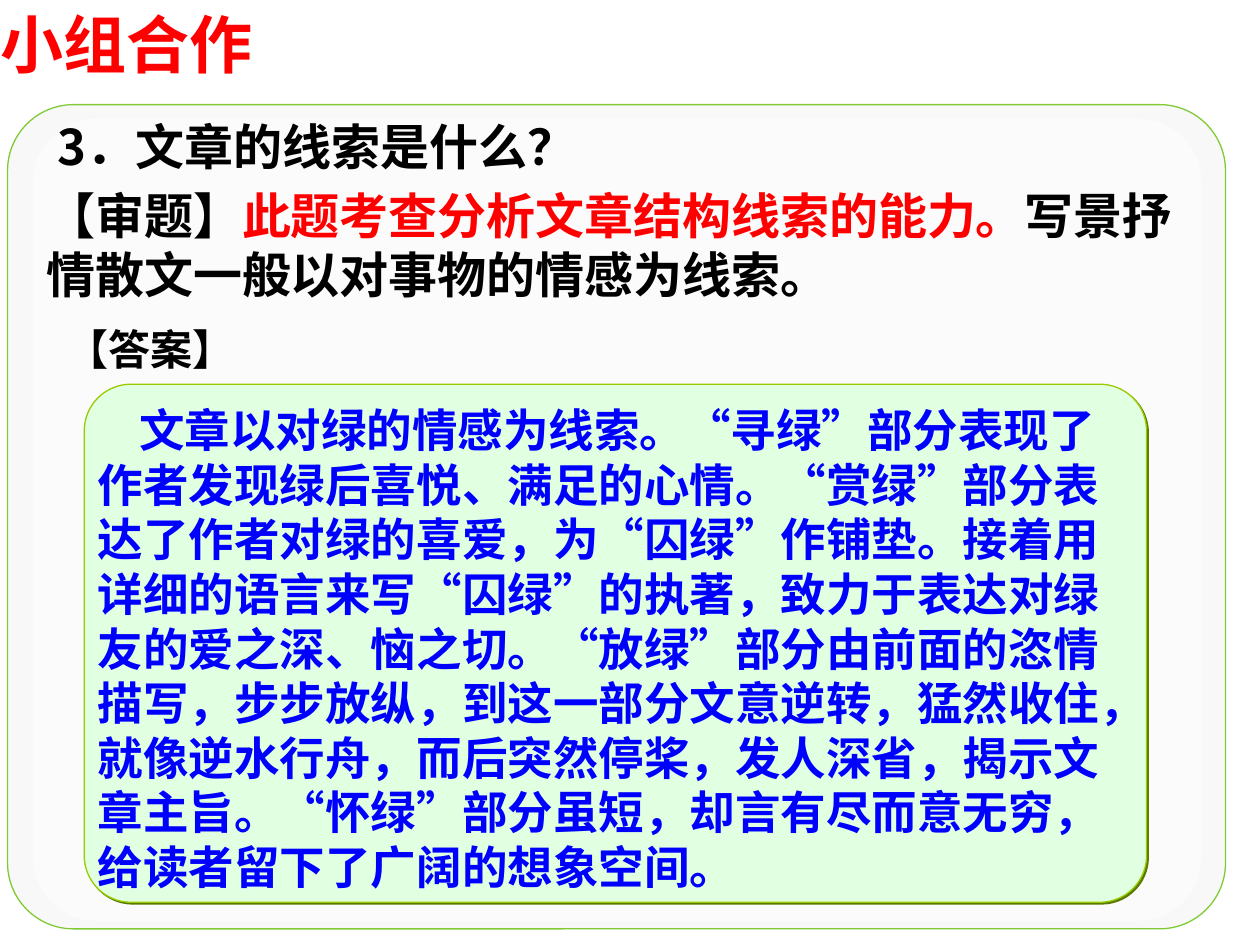
from dataclasses import dataclass

import lxml.etree
import pptx
import pptx.dml.color
import pptx.enum.shapes
import pptx.enum.text
import pptx.oxml
import pptx.oxml.ns
import pptx.util

Pt = pptx.util.Pt
RGBColor = pptx.dml.color.RGBColor
qn = pptx.oxml.ns.qn

BLACK = RGBColor(0x00, 0x00, 0x00)
RED = RGBColor(0xFF, 0x00, 0x00)
BLUE = RGBColor(0x00, 0x00, 0xFF)
WHITE = RGBColor(0xFF, 0xFF, 0xFF)
PANEL_GRAY = RGBColor(0xF8, 0xF8, 0xF8)
PANEL_LINE = RGBColor(0x80, 0xCB, 0x35)
ANSWER_FILL = RGBColor(0xE1, 0xFF, 0xE1)
ANSWER_LINE = RGBColor(0x99, 0xCC, 0x00)
ANSWER_SHADOW = RGBColor(0x5B, 0x79, 0x00)
TEXT_SHADOW = RGBColor(0x80, 0x80, 0x80)

CJK_FONT = "Noto Sans CJK SC"
LEADING = 1.2
ASCENT_GAP = 0.09  # extra top inset, as a share of the text size


@dataclass
class Box:
    left: float
    top: float
    width: float
    height: float

    def lengths(self) -> list:
        return [Pt(value) for value in (self.left, self.top, self.width, self.height)]


@dataclass
class Passage:
    runs: list[tuple[str, RGBColor]]
    size: float
    latin_font: str = "Arial"
    inset_x: float = 7.2
    inset_y: float = 3.6
    wrap: bool = True
    shadow: bool = True
    indent: float = 0


TITLE_BOX = Box(0, 0, 241, 43.2)
TITLE = Passage([("小组合作", RED)], 36, inset_x=0, inset_y=0)

PASSAGES = [
    (Box(26, 60.5, 322.5, 41),
     Passage([("3．文章的线索是什么？", BLACK)], 28, CJK_FONT, wrap=False)),
    (Box(19.4, 100, 669, 75),
     Passage([("【审题】", BLACK),
              ("此题考查分析文章结构线索的能力。", RED),
              ("写景抒情散文一般以对事物的情感为线索。", BLACK)], 28)),
    (Box(31, 179.3, 119, 36), Passage([("【答案】", BLACK)], 24)),
]

ANSWER_BOX = Box(48.2, 219.6, 607, 296)
ANSWER = Passage([(
    "文章以对绿的情感为线索。“寻绿”部分表现了作者发现绿后喜悦、满足的心情。"
    "“赏绿”部分表达了作者对绿的喜爱，为“囚绿”作铺垫。接着用详细的语言来写“囚绿”的执著，"
    "致力于表达对绿友的爱之深、恼之切。“放绿”部分由前面的恣情描写，步步放纵，"
    "到这一部分文意逆转，猛然收住，就像逆水行舟，而后突然停桨，发人深省，揭示文章主旨。"
    "“怀绿”部分虽短，却言有尽而意无穷，给读者留下了广阔的想象空间。", BLUE)],
    26, CJK_FONT, inset_x=0, inset_y=0, shadow=False, indent=23.5)


def add_outer_shadow(properties, color: RGBColor, distance: float, position: int) -> None:
    effects = lxml.etree.Element(qn("a:effectLst"))
    outer = lxml.etree.SubElement(effects, qn("a:outerShdw"), {
        "dist": str(int(Pt(distance))), "dir": "2700000", "algn": "ctr", "rotWithShape": "0"})
    lxml.etree.SubElement(outer, qn("a:srgbClr"), val=str(color))
    properties.insert(position, effects)


def write_passage(shape, passage: Passage) -> None:
    frame = shape.text_frame
    frame_format = {
        "word_wrap": passage.wrap,
        "auto_size": pptx.enum.text.MSO_AUTO_SIZE.NONE,
        "vertical_anchor": pptx.enum.text.MSO_ANCHOR.TOP,
        "margin_left": Pt(passage.inset_x),
        "margin_right": Pt(passage.inset_x),
        "margin_top": Pt(passage.inset_y + passage.size * ASCENT_GAP),
        "margin_bottom": Pt(passage.inset_y),
    }
    for name, value in frame_format.items():
        setattr(frame, name, value)
    paragraph = frame.paragraphs[0]
    paragraph_format = {
        "alignment": pptx.enum.text.PP_ALIGN.LEFT,
        "line_spacing": Pt(round(passage.size * LEADING, 1)),
        "space_before": Pt(0),
    }
    for name, value in paragraph_format.items():
        setattr(paragraph, name, value)
    if passage.indent:
        paragraph._p.get_or_add_pPr().set("indent", str(int(Pt(passage.indent))))
    for text, color in passage.runs:
        run = paragraph.add_run()
        run.text = text
        font_format = {"size": Pt(passage.size), "bold": True, "name": passage.latin_font}
        for name, value in font_format.items():
            setattr(run.font, name, value)
        run.font.color.rgb = color
        properties = run._r.get_or_add_rPr()
        properties.set("lang", "zh-CN")
        latin = properties.find(qn("a:latin"))
        east_asian = lxml.etree.Element(qn("a:ea"), typeface=CJK_FONT)
        latin.addnext(east_asian)
        if passage.shadow:
            add_outer_shadow(properties, TEXT_SHADOW, 1.5, properties.index(latin))


def add_rounded_panel(shapes, box: Box, corner: float, fill: RGBColor,
                      line: RGBColor | None = None):
    panel = shapes.add_shape(pptx.enum.shapes.MSO_SHAPE.ROUNDED_RECTANGLE, *box.lengths())
    panel.adjustments[0] = corner
    panel.shadow.inherit = False
    panel.fill.solid()
    panel.fill.fore_color.rgb = fill
    if line is None:
        panel.line.fill.background()
    else:
        panel.line.color.rgb = line
        panel.line.width = Pt(0.75)
    return panel


def add_backdrop(slide) -> None:
    group = slide.shapes.add_group_shape()
    add_rounded_panel(group.shapes, Box(4.3, 59.8, 696, 471), 0.08, PANEL_GRAY, PANEL_LINE)
    glow = add_rounded_panel(group.shapes, Box(18.7, 67.7, 668, 458.6), 0.08, WHITE)
    color = glow._element.spPr.find(qn("a:solidFill")).find(qn("a:srgbClr"))
    lxml.etree.SubElement(color, qn("a:alpha"), val="50000")


def add_answer(slide) -> None:
    panel = add_rounded_panel(slide.shapes, ANSWER_BOX, 0.09, ANSWER_FILL, ANSWER_LINE)
    properties = panel._element.spPr
    empty_effects = properties.find(qn("a:effectLst"))
    position = properties.index(empty_effects)
    properties.remove(empty_effects)
    add_outer_shadow(properties, ANSWER_SHADOW, 1.4, position)
    write_passage(panel, ANSWER)


def main() -> None:
    presentation = pptx.Presentation()
    presentation.slide_width, presentation.slide_height = Pt(720), Pt(540)
    slide = presentation.slides.add_slide(presentation.slide_layouts[5])
    title = slide.shapes.title
    title.left, title.top, title.width, title.height = TITLE_BOX.lengths()
    write_passage(title, TITLE)
    add_backdrop(slide)
    for box, passage in PASSAGES:
        write_passage(slide.shapes.add_textbox(*box.lengths()), passage)
    add_answer(slide)
    presentation.save("out.pptx")


if __name__ == "__main__":
    main()
